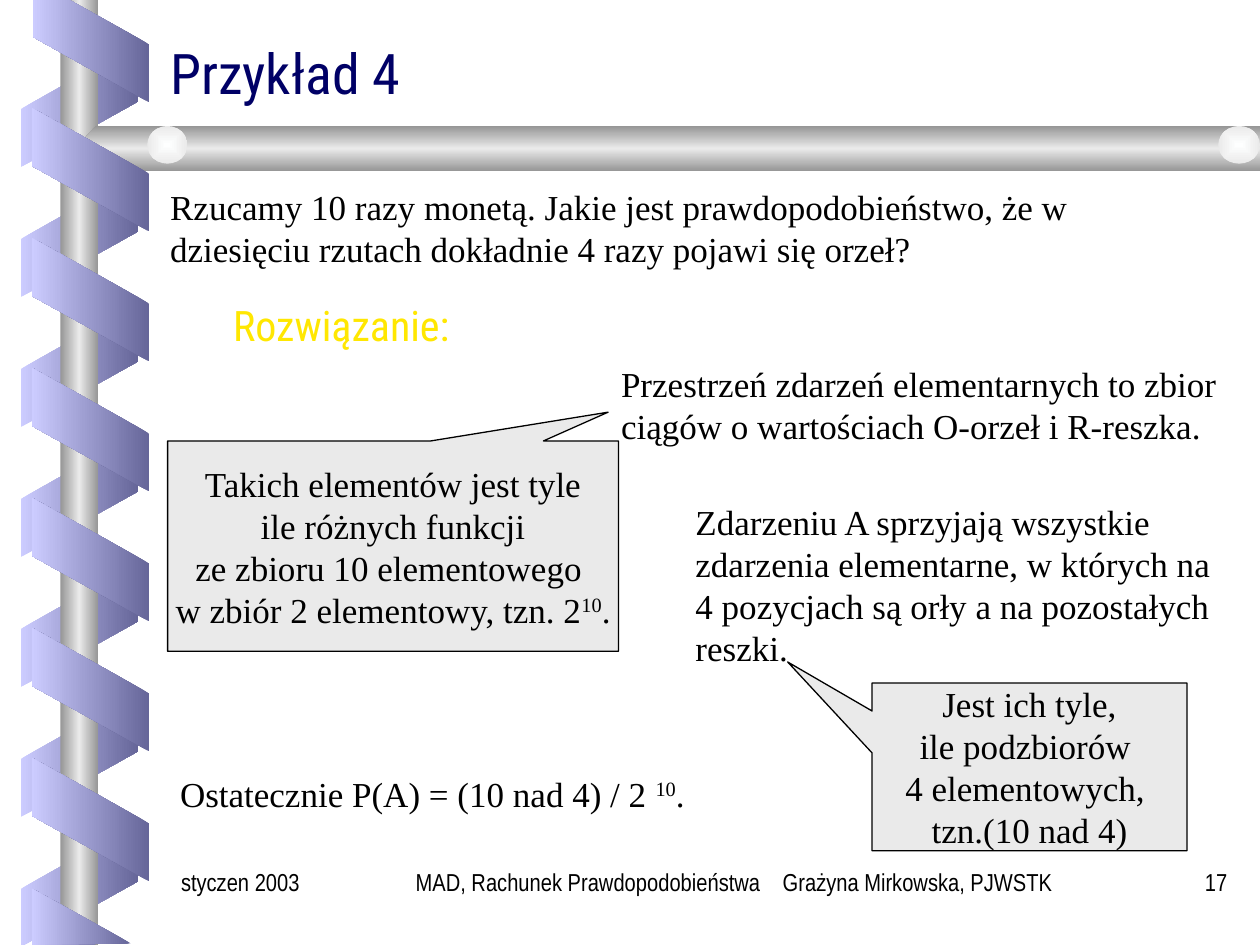
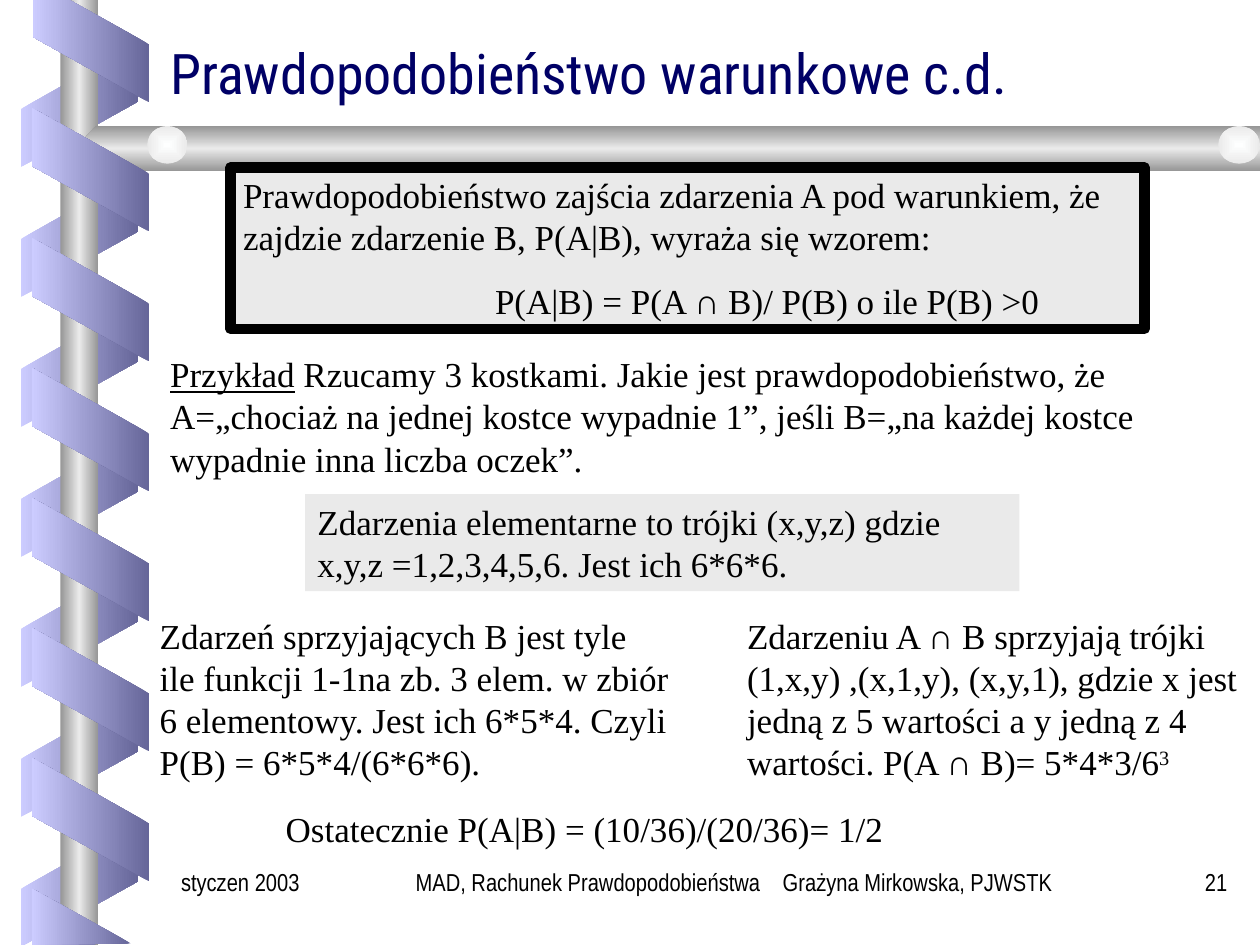
"""Build two lecture slides on probability with a spiral ribbon frame."""
import copy

import pptx
import pptx.dml.color
import pptx.enum.shapes
import pptx.enum.text
import pptx.oxml
import pptx.oxml.ns
import pptx.util

Cm = pptx.util.Cm
Pt = pptx.util.Pt
RGBColor = pptx.dml.color.RGBColor
SHAPE = pptx.enum.shapes.MSO_SHAPE
ALIGN = pptx.enum.text.PP_ALIGN
ANCHOR = pptx.enum.text.MSO_ANCHOR
qn = pptx.oxml.ns.qn

BLACK = RGBColor(0x00, 0x00, 0x00)
NAVY = RGBColor(0x00, 0x00, 0x66)
LILAC = RGBColor(0xCC, 0xCC, 0xFF)
VIOLET = RGBColor(0x66, 0x66, 0x99)
STEEL = RGBColor(0x96, 0x96, 0x96)
SILVER = RGBColor(0xEA, 0xEA, 0xEA)
PEARL = RGBColor(0xFE, 0xFF, 0xFF)
YELLOW = RGBColor(0xFF, 0xE7, 0x01)
ORANGE = RGBColor(0xFE, 0x3E, 0x02)

SERIF = "Times New Roman"
HEADING = "Roboto Condensed"
FOOTER = "Arial Narrow"
RIBBON_STEP = 2.62
NAMESPACE = pptx.oxml.ns.nsdecls("a")


def paint(shape, colours, angle):
    """Give a shape an evenly spaced gradient without outline or shadow."""
    shape.shadow.inherit = False
    shape.line.fill.background()
    shape.fill.gradient()
    shape.fill.gradient_angle = angle
    gradient = shape._element.spPr.find(qn("a:gradFill"))
    gradient.set("rotWithShape", "0")
    stop_list = gradient.find(qn("a:gsLst"))
    for _ in colours[2:]:
        stop_list.append(copy.deepcopy(stop_list[0]))
    for number, (stop, colour) in enumerate(zip(shape.fill.gradient_stops, colours)):
        stop.color.rgb = colour
        stop.position = number / (len(colours) - 1)


def write(shape, paragraphs, size=20, font=SERIF, colour=BLACK, align=ALIGN.LEFT,
          anchor=ANCHOR.TOP, wrap=True):
    """Write paragraphs, each a list of (text, style) runs, into a shape."""
    frame = shape.text_frame
    frame.word_wrap = wrap
    frame.vertical_anchor = anchor
    for number, runs in enumerate(paragraphs):
        paragraph = frame.add_paragraph() if number else frame.paragraphs[0]
        paragraph.alignment = align
        if number:
            paragraph.space_before = Pt(12.5)
        paragraph.font.size = Pt(size)
        paragraph.font.name = font
        paragraph.font.color.rgb = colour
        for text, style in runs:
            for line_number, line in enumerate(text.split("\n")):
                if line_number:
                    paragraph.add_line_break()
                run = paragraph.add_run()
                run.text = line
                if style == "symbol":
                    run.font.name = "Arial"
                elif style == "underline":
                    run.font.underline = True
                elif style == "superscript":
                    run._r.get_or_add_rPr().set("baseline", "30000")
    return frame.paragraphs


CAP = ("∩", "symbol")
TEN = ("10", "superscript")
lecture = [
    {
        "title": "Przykład 4",
        "number": "17",
        "texts": [
            ((3.18, 3.61, 21.39, 1.96), [("Rzucamy 10 razy monetą. Jakie jest prawdopodobieństwo, "
             "że w dziesięciu rzutach dokładnie 4 razy pojawi się orzeł?", "")]),
            ((12.27, 7.19, 12.9, 1.96), [("Przestrzeń zdarzeń elementarnych to zbior ciągów "
             "o wartościach O-orzeł i R-reszka.", "")]),
            ((13.77, 9.96, 11, 3.66), [("Zdarzeniu A sprzyjają wszystkie zdarzenia elementarne, "
             "w których na 4 pozycjach są orły a na pozostałych reszki.", "")]),
            ((3.38, 15.44, 13.77, 1.12), [("Ostatecznie P(A) = (10 nad 4) / 2 ", ""), TEN, (".", "")]),
        ],
    },
    {
        "title": "Prawdopodobieństwo warunkowe c.d.",
        "number": "21",
        "texts": [
            ((3.18, 6.99, 22.2, 2.79), [("Przykład", "underline"), (" Rzucamy 3 kostkami. Jakie jest "
             "prawdopodobieństwo, że A=„chociaż na jednej kostce wypadnie 1”, jeśli "
             "B=„na każdej kostce wypadnie inna liczba oczek”.", "")]),
            ((2.97, 12.27, 10.8, 3.66), [("Zdarzeń sprzyjających B jest tyle ile funkcji 1-1na zb. "
             "3 elem. w zbiór 6 elementowy. Jest ich 6*5*4. Czyli P(B) = 6*5*4/(6*6*6).", "")]),
            ((14.81, 12.27, 10.59, 3.66), [("Zdarzeniu A ", ""), CAP, (" B sprzyjają trójki (1,x,y) "
             ",(x,1,y), (x,y,1), gdzie x jest jedną z 5 wartości a y jedną z 4 wartości. P(A ", ""),
             CAP, (" B)= 5*4*3/6", ""), ("3", "superscript")]),
            ((5.51, 16.15, 15.24, 1.2), [("Ostatecznie P(A|B) = (10/36)/(20/36)= 1/2", "")]),
        ],
    },
]

presentation = pptx.Presentation()
presentation.slide_width = Cm(25.4)
presentation.slide_height = Cm(19.05)
slides = []

for content in lecture:
    slide = presentation.slides.add_slide(presentation.slide_layouts[6])
    slides.append(slide)
    shapes = slide.shapes

    for step in range(7):
        back_ribbon = shapes.add_shape(SHAPE.PARALLELOGRAM, Cm(0.36), Cm(0.94 + step * RIBBON_STEP),
                                       Cm(2.49), Cm(2.36))
        back_ribbon.adjustments[0] = 0.56
        back_ribbon.rotation = 90
        back_ribbon._element.spPr.find(qn("a:xfrm")).set("flipH", "1")
        paint(back_ribbon, [LILAC, VIOLET], 180)

    pole = shapes.add_shape(SHAPE.RECTANGLE, Cm(1.22), Cm(0), Cm(0.76), Cm(19.05))
    paint(pole, [STEEL, SILVER, STEEL], 180)

    outlines = [
        ([(25.4, 2.54), (1.93, 2.54), (1.52, 3), (1.93, 3.45), (25.4, 3.45)],
         [STEEL, SILVER, STEEL], 90),
        ([(0.66, 0), (0.66, 0.74), (3, 2.06), (3, 0.89), (1.4, 0)], [VIOLET, LILAC], 180),
        ([(2.64, 19.02), (0.64, 17.91), (0.64, 19.05)], [VIOLET, LILAC], 180),
    ]
    for points, colours, angle in outlines:
        corners = [(Cm(x), Cm(y)) for x, y in points]
        builder = shapes.build_freeform(*corners[0])
        builder.add_line_segments(corners[1:])
        paint(builder.convert_to_shape(), colours, angle)

    for left, width in [(2.97, 0.81), (24.56, 0.84)]:
        knob = shapes.add_shape(SHAPE.OVAL, Cm(left), Cm(2.54), Cm(width), Cm(0.76))
        paint(knob, [PEARL, SILVER], 0)
        gradient = knob._element.spPr.find(qn("a:gradFill"))
        gradient.replace(gradient.find(qn("a:lin")), pptx.oxml.parse_xml(
            f'<a:path {NAMESPACE} path="rect">'
            '<a:fillToRect l="50000" t="50000" r="50000" b="50000"/></a:path>'))

    for step in range(6):
        front_ribbon = shapes.add_shape(SHAPE.PARALLELOGRAM, Cm(0.58), Cm(2.24 + step * RIBBON_STEP),
                                        Cm(2.49), Cm(2.36))
        front_ribbon.adjustments[0] = 0.56
        front_ribbon.rotation = 270
        paint(front_ribbon, [VIOLET, LILAC], 180)

    title = shapes.add_textbox(Cm(3.18), Cm(0.64), Cm(21.59), Cm(1.6))
    title_paragraphs = write(title, [[(content["title"], "")]], 32, HEADING, NAVY, anchor=ANCHOR.BOTTOM)
    title_paragraphs[0].line_spacing = 0.8

    for place, runs in content["texts"]:
        write(shapes.add_textbox(*map(Cm, place)), [runs])

    footers = [
        (3.4, 3.58, "styczen 2003", ALIGN.LEFT),
        (8.13, 14, "MAD, Rachunek Prawdopodobieństwa\tGrażyna Mirkowska, PJWSTK", ALIGN.LEFT),
        (22.86, 2.13, content["number"], ALIGN.RIGHT),
    ]
    for left, width, text, align in footers:
        footer = shapes.add_textbox(Cm(left), Cm(17.35), Cm(width), Cm(1.27))
        if "\t" in text:
            footer.text_frame.paragraphs[0]._p.get_or_add_pPr().append(pptx.oxml.parse_xml(
                f'<a:tabLst {NAMESPACE}><a:tab pos="{Cm(7.4)}" algn="l"/></a:tabLst>'))
        write(footer, [[(text, "")]], 14, FOOTER, align=align)

example_slide, conditional_slide = slides

solution = example_slide.shapes.add_textbox(Cm(4.45), Cm(5.92), Cm(6.6), Cm(1.9))
solution_paragraphs = write(solution, [[("Rozwiązanie:", "")]], 24, HEADING, YELLOW, wrap=False)
solution_run = solution_paragraphs[0].runs[0]
solution_run.font.fill.gradient()
solution_run.font.fill.gradient_angle = 270
for stop, colour in zip(solution_run.font.fill.gradient_stops, [YELLOW, ORANGE]):
    stop.color.rgb = colour
solution_run._r.get_or_add_rPr().insert(0, pptx.oxml.parse_xml(
    f'<a:ln {NAMESPACE} w="{Pt(0.75)}"><a:solidFill><a:srgbClr val="{BLACK}"/></a:solidFill></a:ln>'))

callouts = [
    ((3.38, 8.89, 9.09, 4.24), (0.477, -0.637),
     [("Takich elementów jest tyle\n ile różnych funkcji \nze zbioru 10 elementowego \n"
       "w zbiór 2 elementowy, tzn. 2", ""), TEN, (".", "")]),
    ((17.58, 13.77, 6.35, 3.38), (-0.768, -0.626),
     [("Jest ich tyle,\nile podzbiorów \n4 elementowych, \ntzn.(10 nad 4)", "")]),
]
for place, tip, runs in callouts:
    callout = example_slide.shapes.add_shape(SHAPE.RECTANGULAR_CALLOUT, *map(Cm, place))
    callout.shadow.inherit = False
    callout.adjustments[0], callout.adjustments[1] = tip
    callout.fill.solid()
    callout.fill.fore_color.rgb = SILVER
    callout.line.color.rgb = BLACK
    callout.line.width = Pt(0.75)
    write(callout, [runs], align=ALIGN.CENTER, anchor=ANCHOR.MIDDLE, wrap=False)

panels = [
    ((4.65, 3.38, 18.42, 3.25), 6,
     [[("Prawdopodobieństwo zajścia zdarzenia A pod warunkiem, że zajdzie zdarzenie B, "
        "P(A|B), wyraża się wzorem:", "")],
      [("P(A|B) = P(A ", ""), CAP, (" B)/ P(B) o ile P(B) >0", "")]]),
    ((6.15, 9.96, 14.4, 1.96), 0,
     [[("Zdarzenia elementarne to trójki (x,y,z) gdzie x,y,z =1,2,3,4,5,6. Jest ich 6*6*6.", "")]]),
]
for place, border, paragraphs in panels:
    panel = conditional_slide.shapes.add_shape(SHAPE.RECTANGLE, *map(Cm, place))
    panel.shadow.inherit = False
    panel.fill.solid()
    panel.fill.fore_color.rgb = SILVER
    if border:
        panel.line.color.rgb = BLACK
        panel.line.width = Pt(border)
    else:
        panel.line.fill.background()
    panel_paragraphs = write(panel, paragraphs)
    for formula in panel_paragraphs[1:]:
        formula._p.get_or_add_pPr().set("marL", str(Cm(5.08)))

presentation.save("out.pptx")
